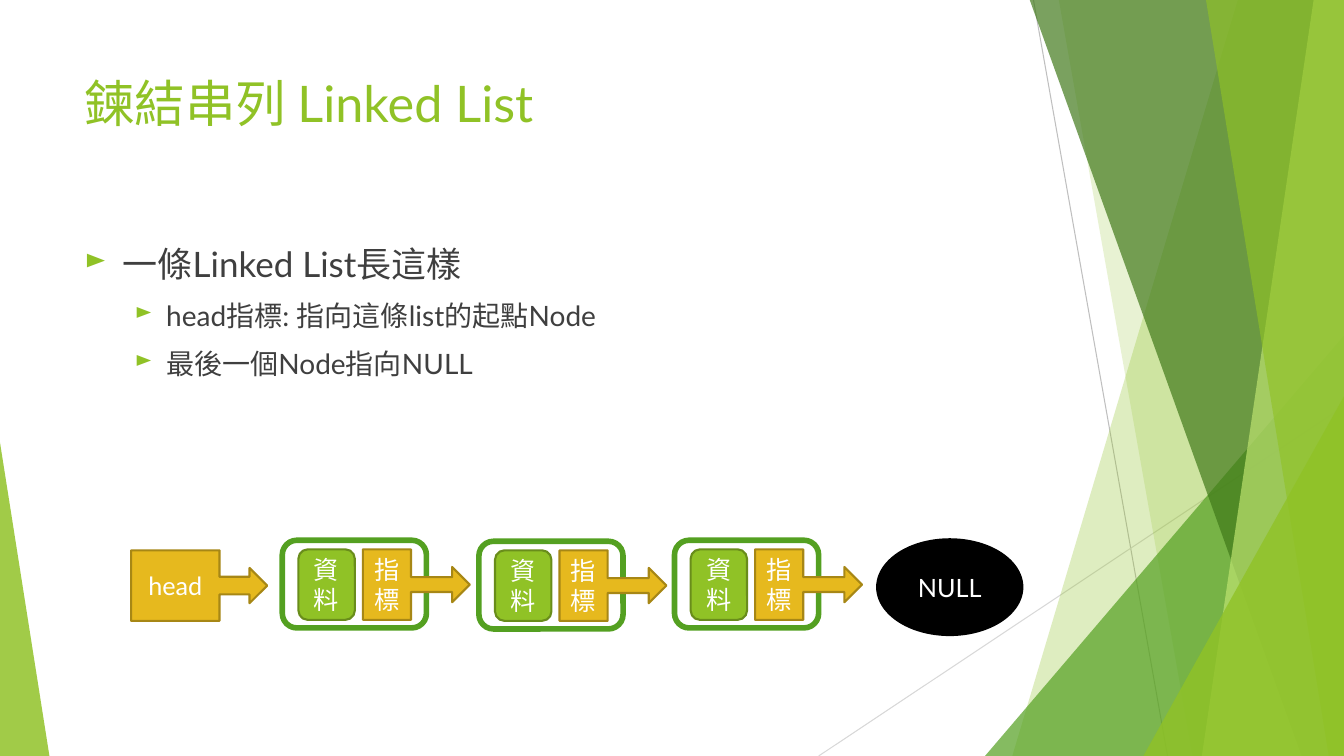
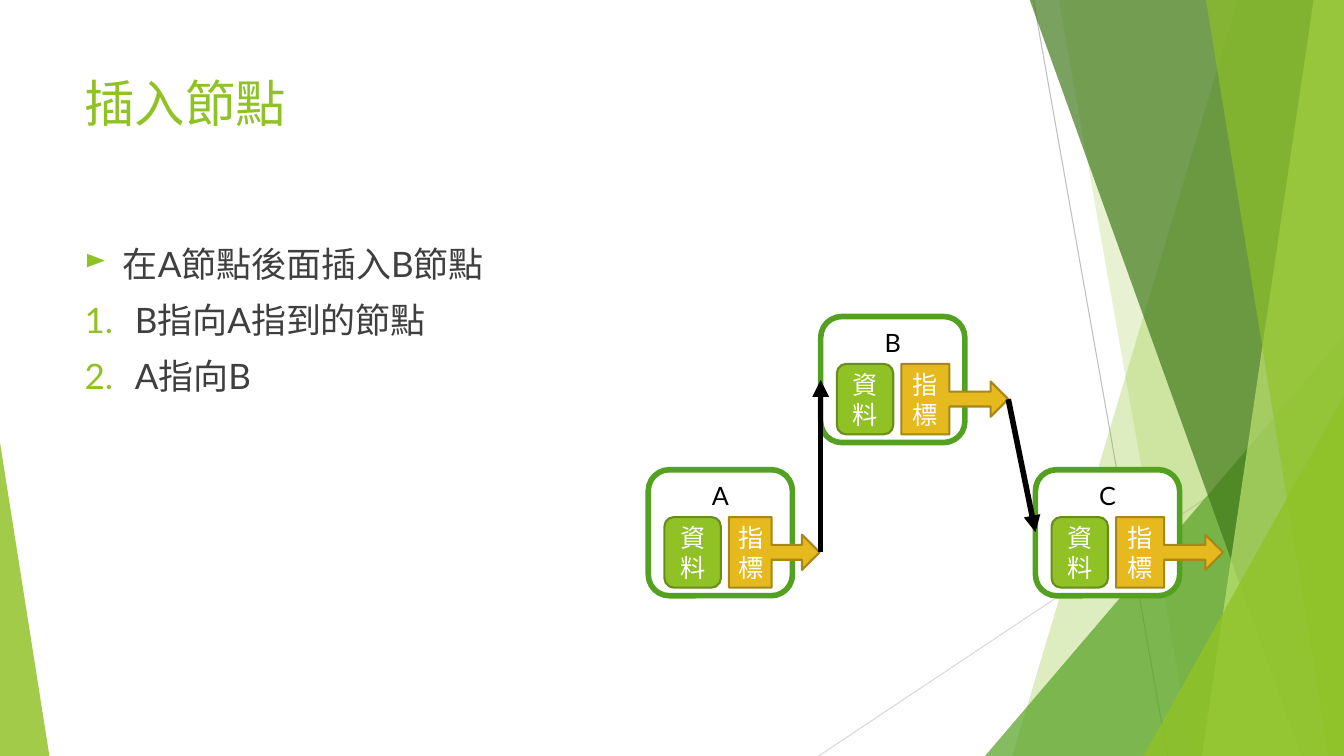
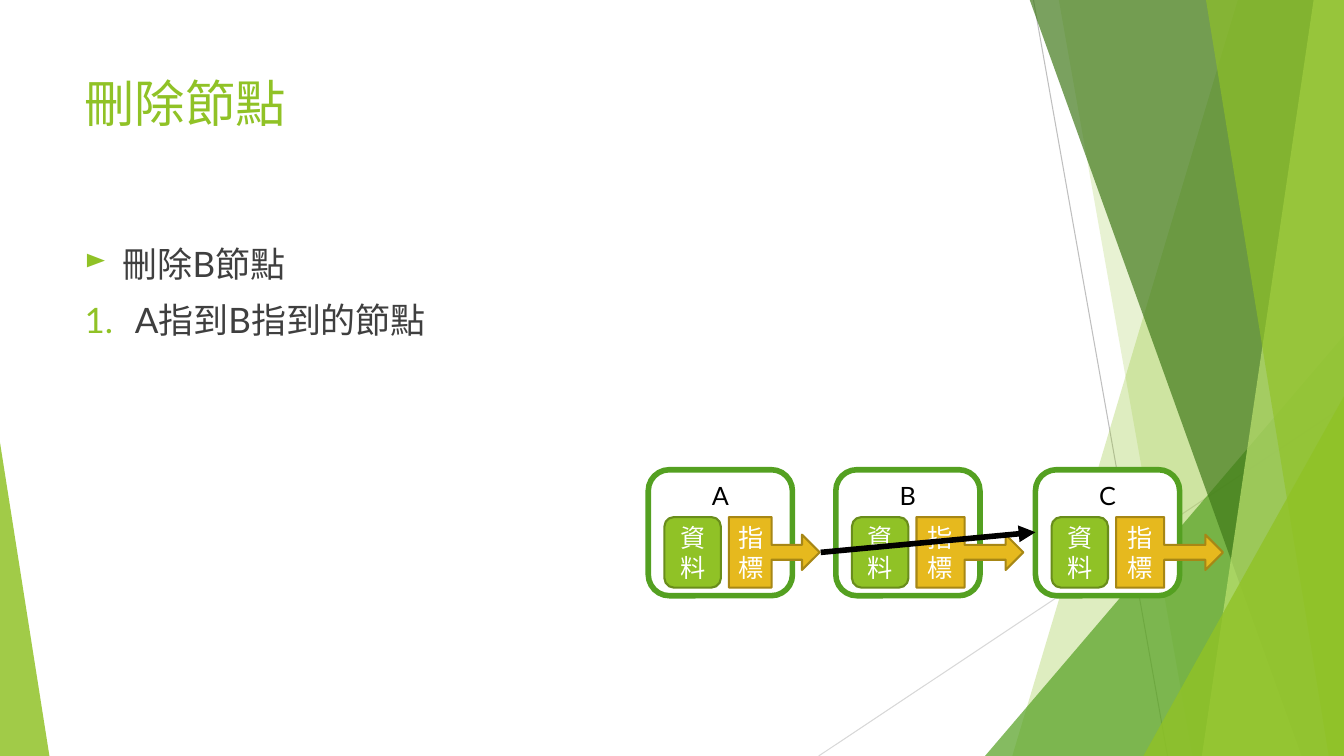
from dataclasses import dataclass
from lxml.etree import SubElement
from pptx import Presentation
from pptx.dml.color import RGBColor
from pptx.enum.shapes import MSO_CONNECTOR, MSO_SHAPE
from pptx.enum.text import MSO_ANCHOR, PP_ALIGN
from pptx.oxml.ns import qn
from pptx.util import Emu, Pt


@dataclass(frozen=True)
class Theme:
    font: str = "Lato"
    lime: str = "90C226"
    moss: str = "698D1B"
    green: str = "54A021"
    pine: str = "3F7818"
    pale: str = "BFE471"
    gold: str = "E6B91E"
    bronze: str = "A78715"
    gray: str = "3F3F3F"
    silver: str = "BFBFBF"
    mist: str = "D8D8D8"
    white: str = "FFFFFF"
    black: str = "000000"
    title: int = 36
    body: int = 25
    sub: int = 20
    label: int = 18
    hair: float = 0.75
    thin: float = 1.5
    thick: int = 4


PX = 9144
WIDE, HIGH = 1333, 750
look = Theme()


def form(shapes, kind, box, fill, edge=None, weight=look.thin, text="", ink=look.white, adjust=()):
    shape = shapes.add_shape(kind, *(Emu(n * PX) for n in box))
    shape.shadow.inherit = False
    shape.fill.solid()
    shape.fill.fore_color.rgb = RGBColor.from_string(fill)
    if edge:
        shape.line.color.rgb = RGBColor.from_string(edge)
        shape.line.width = Pt(weight)
    else:
        shape.line.fill.background()
    for n, value in enumerate(adjust):
        shape.adjustments[n] = value
    if text:
        shape.text_frame.text = text
        para = shape.text_frame.paragraphs[0]
        para.alignment = PP_ALIGN.CENTER
        font = para.runs[0].font
        font.name, font.size = look.font, Pt(look.label)
        font.color.rgb = RGBColor.from_string(ink)
    return shape


def wire(shapes, ends, color, weight, head=False):
    line = shapes.add_connector(MSO_CONNECTOR.STRAIGHT, *(Emu(n * PX) for n in ends))
    line.line.color.rgb = RGBColor.from_string(color)
    line.line.width = Pt(weight)
    if head:
        SubElement(line.line._get_or_add_ln(), qn("a:tailEnd"), type="triangle")
    SubElement(line.element.spPr, qn("a:effectLst"))
    return line


deck = Presentation()
deck.slide_width, deck.slide_height = Emu(WIDE * PX), Emu(HIGH * PX)
blank = deck.slide_layouts[6]
for holder in list(blank.placeholders):
    holder.element.getparent().remove(holder.element)

styles = {
    "title": (look.title, look.lime, 0, 0, None),
    "point": (look.body, look.gray, 38, 38, "►"),
    "sub": (look.sub, look.gray, 81, 31, "►"),
    "step": (look.body, look.gray, 50, 50, "1."),
}

pages = [
    {
        "title": "鍊結串列 Linked List",
        "rows": [("point", "一條Linked List長這樣"),
                 ("sub", "head指標: 指向這條list的起點Node"),
                 ("sub", "最後一個Node指向NULL")],
        "nodes": [("", 280, 536, 87, 106), ("", 475, 537, 87, 106), ("", 669, 536, 87, 106)],
        "wires": [],
    },
    {
        "title": "插入節點",
        "rows": [("point", "在A節點後面插入B節點"),
                 ("step", "B指向A指到的節點"),
                 ("step", "A指向B")],
        "nodes": [("B", 814, 314, 125, 106), ("A", 643, 466, 125, 90), ("C", 1027, 466, 125, 106)],
        "wires": [(1000, 396, 1027, 528), (814, 548, 814, 377)],
    },
    {
        "title": "刪除節點",
        "rows": [("point", "刪除B節點"),
                 ("step", "A指到B指到的節點")],
        "nodes": [("B", 829, 466, 125, 106), ("A", 643, 466, 125, 90), ("C", 1027, 466, 125, 106)],
        "wires": [(814, 548, 1027, 528)],
    },
]

slides = [deck.slides.add_slide(blank) for page in pages]

shapes = slides[0].shapes
decor = [
    wire(shapes, (1025, 0, 1158, HIGH), look.silver, look.hair),
    wire(shapes, (WIDE, 403, 812, HIGH), look.mist, look.hair),
]
facets = [
    ("band", (1228, 1004), look.lime, 29),
    ("band", (1050, 1183), look.lime, 20),
    ("right", (977, 333, 356, 417), look.green, 71),
    ("band", (1021, 1291), look.pine, 69),
    ("band", (1303, 1192), look.pale, 69),
    ("band", (1196, 1318), look.lime, 64),
    ("right", (1134, 393, 199, 357), look.lime, 80),
    ("left", (0, 439, 49, 311), look.lime, 84),
]
for kind, place, color, alpha in facets:
    if kind == "band":
        top, foot = place
        path = shapes.build_freeform(top, -1, scale=PX)
        path.add_line_segments([(WIDE, -1), (WIDE, HIGH), (foot, HIGH)])
        facet = path.convert_to_shape()
        facet.shadow.inherit = False
        facet.fill.solid()
        facet.fill.fore_color.rgb = RGBColor.from_string(color)
        facet.line.fill.background()
    else:
        facet = form(shapes, MSO_SHAPE.ISOSCELES_TRIANGLE, place, color, adjust=[int(kind == "right")])
    tint = facet.element.spPr.find(qn("a:solidFill"))[0]
    SubElement(tint, qn("a:alpha"), val=str(alpha * 1000))
    decor.append(facet)
for part in decor:
    blank.shapes.element.append(part.element)

for slide, page in zip(slides, pages):
    shapes = slide.shapes
    blocks = [((74, 67, 940, 144), [("title", page["title"])]),
              ((74, 236, 940, 424), page["rows"])]
    for box, rows in blocks:
        frame = shapes.add_textbox(*(Emu(n * PX) for n in box)).text_frame
        frame.word_wrap = True
        for n, (style, text) in enumerate(rows):
            size, color, left, hang, mark = styles[style]
            para = frame.add_paragraph() if n else frame.paragraphs[0]
            para.text = text
            para.level = int(style == "sub")
            para.space_before = Pt(10 if n else 0)
            font = para.runs[0].font
            font.name, font.size = look.font, Pt(size)
            font.color.rgb = RGBColor.from_string(color)
            if mark:
                props = para._p.get_or_add_pPr()
                props.set("marL", str(left * PX))
                props.set("indent", str(-hang * PX))
                SubElement(SubElement(props, qn("a:buClr")), qn("a:srgbClr"), val=look.lime)
                if mark == "1.":
                    SubElement(props, qn("a:buFont"), typeface=look.font)
                    SubElement(props, qn("a:buAutoNum"), type="arabicPeriod")
                else:
                    SubElement(props, qn("a:buSzPct"), val="80000")
                    SubElement(props, qn("a:buChar"), char=mark)

    for name, left, top, high, reach in page["nodes"]:
        group = shapes.add_group_shape().shapes
        row = top + high - 78
        case = form(group, MSO_SHAPE.ROUNDED_RECTANGLE, (left, top, 143, high),
                    look.white, look.green, look.thick, name, look.black)
        case.text_frame.vertical_anchor = MSO_ANCHOR.TOP
        form(group, MSO_SHAPE.ROUNDED_RECTANGLE, (left + 16, row, 56, 70),
             look.lime, look.moss, text="資料")
        form(group, MSO_SHAPE.RIGHT_ARROW_CALLOUT, (left + 80, row, reach, 70),
             look.gold, look.bronze, text="指標",
             adjust=(0.21, 0.25, 0.25, 0.45 if reach > 90 else 0.47))

    for ends in page["wires"]:
        wire(shapes, ends, look.black, look.thick, head=True)

shapes = slides[0].shapes
form(shapes, MSO_SHAPE.RIGHT_ARROW_CALLOUT, (130, 546, 135, 70),
     look.gold, look.bronze, text="head", adjust=(0.25, 0.25, 0.25, 0.65))
form(shapes, MSO_SHAPE.OVAL, (870, 535, 144, 95), look.black, look.black, text="NULL")

deck.save("out.pptx")
